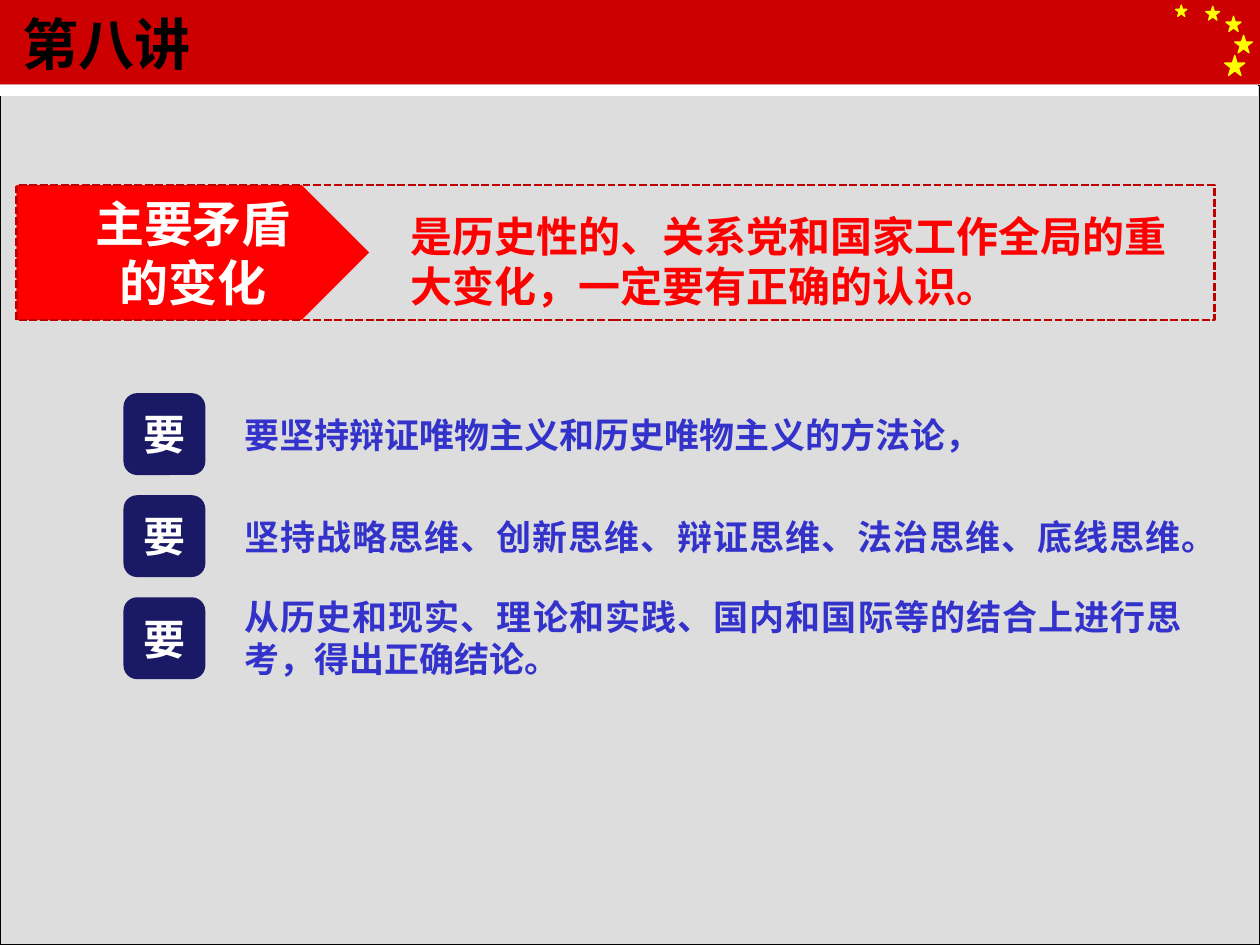
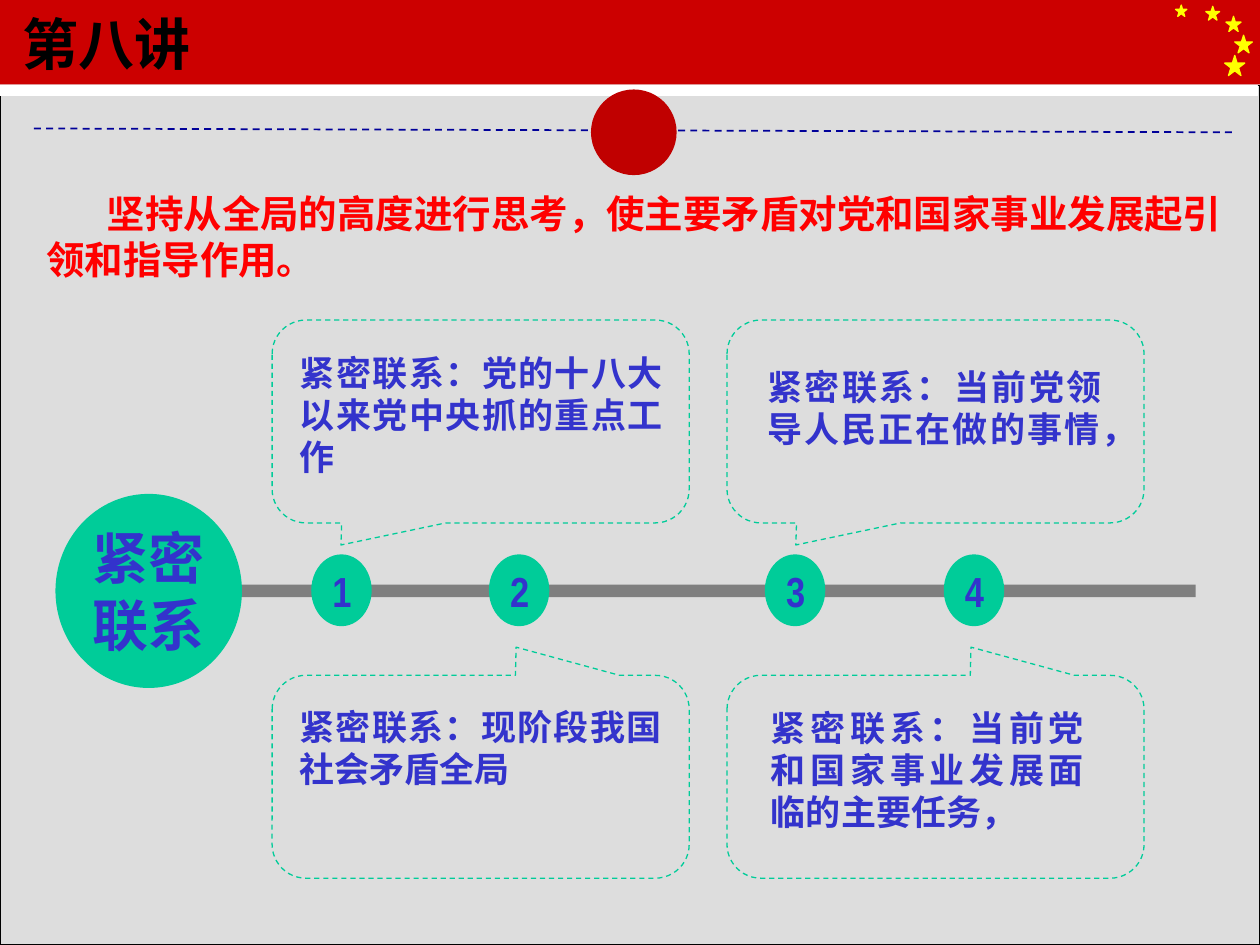
from dataclasses import dataclass

from lxml.etree import SubElement
from pptx import Presentation
from pptx.dml.color import RGBColor
from pptx.enum.dml import MSO_LINE
from pptx.enum.shapes import MSO_CONNECTOR, MSO_SHAPE
from pptx.enum.text import MSO_ANCHOR, PP_ALIGN
from pptx.oxml.ns import qn
from pptx.util import Inches, Pt


@dataclass(frozen=True)
class Theme:
    # Colours
    page: str = "EAEAEA"
    panel: str = "DDDDDD"
    band: str = "CC0000"
    star: str = "FFFF00"
    black: str = "000000"
    white: str = "FFFFFF"
    cream: str = "FFFDFB"
    red: str = "FF0000"
    deep: str = "C00000"
    navy: str = "191966"
    rule: str = "000099"
    blue: str = "3333CC"
    green: str = "00CC99"
    gray: str = "7F7F7F"
    # Type
    han: str = "Noto Sans CJK SC"
    serif: str = "Times New Roman"
    digit: str = "Arial Narrow"
    title: int = 32
    label: int = 28
    claim: int = 24
    lead: int = 22
    body: int = 20
    pitch: float = 1.2


T = Theme()

# Content
TITLE = "第八讲"
STARS = [(9.72, 0.44, 0.16), (9.57, 0.05, 0.11), (9.33, 0.04, 0.09),
         (9.73, 0.13, 0.12), (9.8, 0.28, 0.14)]  # left, top, size

CHANGE = "主要矛盾\n的变化"
CLAIM = "是历史性的、关系党和国家工作全局的重大变化，一定要有正确的认识。"
MUST = "要"
POINTS = [  # text, drop below the top of its badge
    ("要坚持辩证唯物主义和历史唯物主义的方法论，", 0.11),
    ("坚持战略思维、创新思维、辩证思维、法治思维、底线思维。", 0.11),
    ("从历史和现实、理论和实践、国内和国际等的结合上进行思考，得出正确结论。", -0.06),
]

LEAD = "坚持从全局的高度进行思考，使主要矛盾对党和国家事业发展起引领和指导作用。"
HUB = "紧密联系"
LINKS = [  # node left, column, row, text, text box
    (2.47, 0, 0, "紧密联系：党的十八大以来党中央抓的重点工作", (2.28, 2.74, 3.08, 1.1)),
    (3.88, 0, 1, "紧密联系：现阶段我国社会矛盾全局", (2.28, 5.55, 3.07, 0.77)),
    (6.07, 1, 0, "紧密联系：当前党领导人民正在做的事情，", (5.99, 2.85, 2.85, 1.1)),
    (7.49, 1, 1, "紧密联系：当前党和国家事业发展面临的主要任务，", (6.02, 5.56, 2.68, 1.1)),
]
COLS = [2.16, 5.77]
ROWS = [2.54, 5.36]
TIPS = [(-0.335, 0.609), (0.085, -0.639)]  # callout tip for each row


def tint(hue):
    return RGBColor.from_string(hue)


def write(item, text, size, hue, align=PP_ALIGN.LEFT, anchor=MSO_ANCHOR.TOP,
          face=T.han, wrap=True, pad=True, indent=0):
    frame = item.text_frame
    frame.text = text
    frame.word_wrap = wrap
    frame.vertical_anchor = anchor
    if not pad:
        frame.margin_left = frame.margin_right = 0
        frame.margin_top = frame.margin_bottom = 0
    for para in frame.paragraphs:
        para.alignment = align
        if face != T.digit:
            para.line_spacing = Pt(size * T.pitch)
        if indent:
            para._p.get_or_add_pPr().set("indent", str(Inches(indent)))
        for run in para.runs:
            font = run.font
            font.name, font.size, font.bold = face, Pt(size), True
            font.color.rgb = tint(hue)
            east = SubElement(run._r.get_or_add_rPr(), qn("a:ea"))
            east.set("typeface", T.han)


def center(item, text, size, hue, **opts):
    write(item, text, size, hue, PP_ALIGN.CENTER, MSO_ANCHOR.MIDDLE, **opts)


def label(slide, box, *style, **opts):
    write(slide.shapes.add_textbox(*map(Inches, box)), *style, **opts)


def shape(slide, kind, box, fill=None, line=None, width=0.75, dash=None):
    item = slide.shapes.add_shape(kind, *map(Inches, box))
    item.shadow.inherit = False
    if fill:
        item.fill.solid()
        item.fill.fore_color.rgb = tint(fill)
    else:
        item.fill.background()
    if line:
        item.line.color.rgb = tint(line)
        item.line.width = Pt(width)
        if dash:
            item.line.dash_style = dash
    else:
        item.line.fill.background()
    return item


def base(deck):
    """Add a slide with the shared band, stars, panel and title."""
    slide = deck.slides.add_slide(deck.slide_layouts[6])
    slide.background.fill.solid()
    slide.background.fill.fore_color.rgb = tint(T.page)
    shape(slide, MSO_SHAPE.RECTANGLE, (0, 0, 10, 0.67), T.band)
    for left, top, size in STARS:
        shape(slide, MSO_SHAPE.STAR_5_POINT, (left, top, size, size), T.star, T.star)
    shape(slide, MSO_SHAPE.RECTANGLE, (0, 0.68, 10, 6.82), T.panel, T.black)
    shape(slide, MSO_SHAPE.RECTANGLE, (0, 0.68, 9.98, 0.08), T.white, T.white)
    label(slide, (0.08, 0, 7.08, 0.68), TITLE, T.title, T.black,
          anchor=MSO_ANCHOR.MIDDLE)
    return slide


def change(deck):
    slide = base(deck)

    # Claim with its arrow and dashed frame
    label(slide, (3.16, 1.62, 6.25, 0.9), CLAIM, T.claim, T.red)
    arrow = shape(slide, MSO_SHAPE.PENTAGON, (0.13, 1.47, 2.8, 1.07), T.red)
    arrow.adjustments[0] = 0.5
    center(arrow, CHANGE, T.label, T.cream)
    arrow.text_frame.margin_left = Inches(0.37)
    shape(slide, MSO_SHAPE.RECTANGLE, (0.13, 1.47, 9.51, 1.07),
          line=T.deep, width=1.5, dash=MSO_LINE.SQUARE_DOT)

    # Badges and points
    for row, (text, drop) in enumerate(POINTS):
        top = 3.12 + 0.81 * row
        badge = shape(slide, MSO_SHAPE.ROUNDED_RECTANGLE, (0.98, top, 0.65, 0.65), T.navy)
        center(badge, MUST, T.claim, T.white, wrap=False)
        label(slide, (1.84, top + drop, 7.64, 0.77), text, T.body, T.blue,
              PP_ALIGN.JUSTIFY)


def links(deck):
    slide = base(deck)

    # Dashed rule with a disc
    rule = slide.shapes.add_connector(
        MSO_CONNECTOR.STRAIGHT, *map(Inches, (0.27, 1.02, 9.8, 1.05)))
    rule.line.color.rgb = tint(T.rule)
    rule.line.width = Pt(1)
    rule.line.dash_style = MSO_LINE.DASH
    SubElement(rule._element.spPr, qn("a:effectLst"))
    shape(slide, MSO_SHAPE.OVAL, (4.69, 0.71, 0.68, 0.68), T.deep)

    label(slide, (0.27, 1.46, 9.54, 0.84), LEAD, T.lead, T.red, indent=0.48)

    # Axis and hub
    shape(slide, MSO_SHAPE.RECTANGLE, (1.65, 4.64, 7.84, 0.1), T.gray)
    hub = shape(slide, MSO_SHAPE.OVAL, (0.44, 3.92, 1.48, 1.54), T.green)
    center(hub, HUB, T.title, T.blue, face=T.serif, pad=False)

    # Callouts, their text and the numbered nodes
    for count, (left, col, row, text, box) in enumerate(LINKS, 1):
        bubble = shape(slide, MSO_SHAPE.ROUNDED_RECTANGULAR_CALLOUT,
                       (COLS[col], ROWS[row], 3.31, 1.61),
                       line=T.green, dash=MSO_LINE.DASH)
        bubble.adjustments[0], bubble.adjustments[1] = TIPS[row]
        label(slide, box, text, T.body, T.blue, PP_ALIGN.JUSTIFY)
        node = shape(slide, MSO_SHAPE.OVAL, (left, 4.4, 0.48, 0.57), T.green)
        center(node, str(count), T.claim, T.blue, face=T.digit)


def main():
    deck = Presentation()
    deck.slide_width, deck.slide_height = Inches(10), Inches(7.5)
    change(deck)
    links(deck)
    deck.save("out.pptx")


if __name__ == "__main__":
    main()
